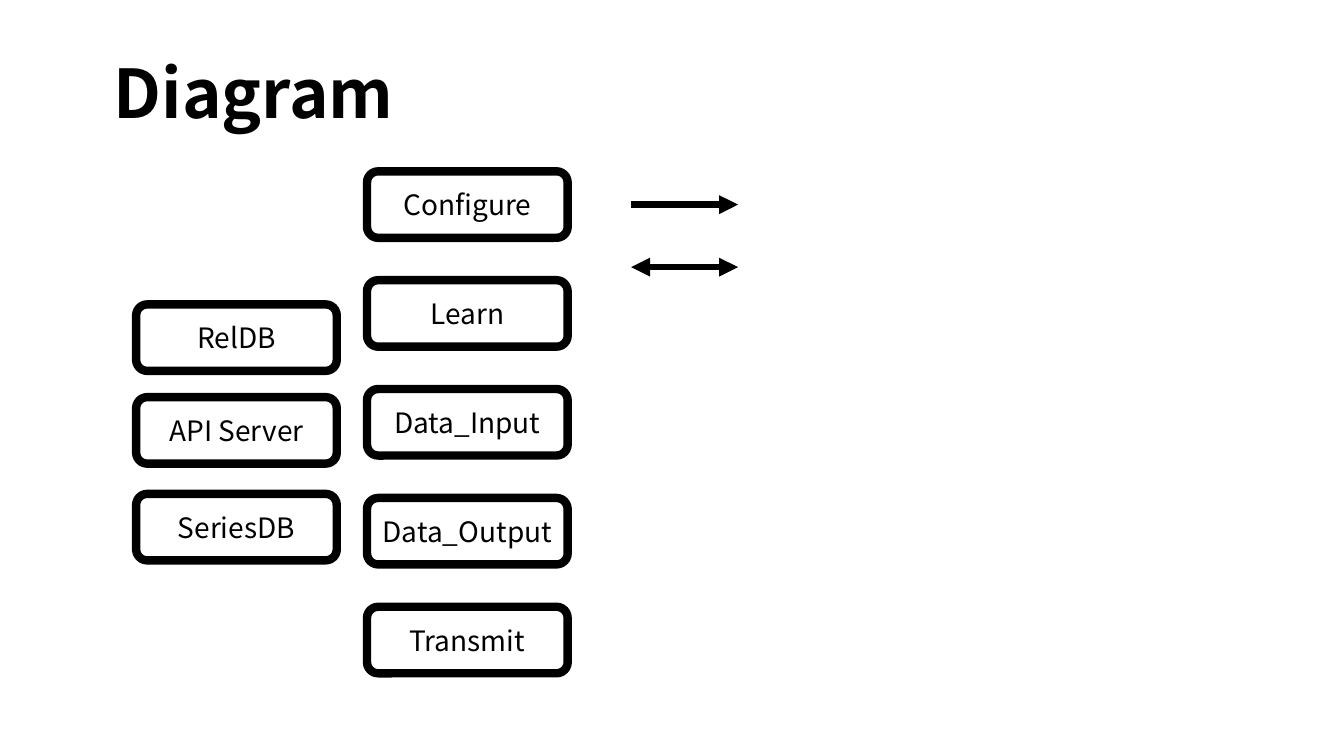
from lxml.etree import SubElement
from pptx import Presentation
from pptx.dml.color import RGBColor
from pptx.enum.shapes import MSO_CONNECTOR, MSO_SHAPE
from pptx.enum.text import MSO_ANCHOR, MSO_AUTO_SIZE, PP_ALIGN
from pptx.oxml.ns import qn
from pptx.util import Inches, Pt

TITLE = "Diagram"
TITLE_AREA = (1.03, 0.46, 4.6, 0.91)

# Each column: left edge, then its services with their top edges.
STORAGE_LEFT = 1.35
STORAGE = [("RelDB", 3.02), ("API Server", 3.94), ("SeriesDB", 4.9)]

STAGE_LEFT, STAGE_TOP, STAGE_STEP = 3.64, 1.7, 1.08
STAGES = ["Configure", "Learn", "Data_Input", "Data_Output", "Transmit"]

BOX_SIZE = (1.99, 0.66)

# Each arrow: height on the slide and the ends that carry a head.
ARROW_SPAN = (6.26, 7.32)
ARROWS = [(2.03, ["tailEnd"]), (2.65, ["headEnd", "tailEnd"])]

THEME = {
    "ink": RGBColor(0, 0, 0),
    "box_line": Pt(6),
    "arrow_line": Pt(4.5),
    "title": {"name": "Noto Sans CJK KR", "size": Pt(48), "bold": True},
    "label": {"name": "Noto Sans CJK KR", "size": Pt(20), "bold": False},
}


def write(frame, wording, style, align):
    """Put one styled paragraph into a text frame."""
    paragraph = frame.paragraphs[0]
    paragraph.alignment = align
    run = paragraph.add_run()
    run.text = wording
    for attribute, value in THEME[style].items():
        setattr(run.font, attribute, value)
    run.font.color.rgb = THEME["ink"]


def add_title(slide):
    """Add the slide heading."""
    heading = slide.shapes.add_textbox(*map(Inches, TITLE_AREA)).text_frame
    heading.word_wrap = True
    heading.auto_size = MSO_AUTO_SIZE.SHAPE_TO_FIT_TEXT
    write(heading, TITLE, "title", PP_ALIGN.LEFT)


def add_box(slide, label, left, top):
    """Add one outlined, rounded box with a centred label."""
    box = slide.shapes.add_shape(
        MSO_SHAPE.ROUNDED_RECTANGLE, *map(Inches, (left, top, *BOX_SIZE)))
    box.shadow.inherit = False
    box.fill.background()
    box.line.color.rgb = THEME["ink"]
    box.line.width = THEME["box_line"]
    box.text_frame.vertical_anchor = MSO_ANCHOR.MIDDLE
    write(box.text_frame, label, "label", PP_ALIGN.CENTER)


def add_arrow(slide, height, ends):
    """Add a horizontal arrow with triangles at the given ends."""
    start, stop = ARROW_SPAN
    arrow = slide.shapes.add_connector(
        MSO_CONNECTOR.STRAIGHT, *map(Inches, (start, height, stop, height)))
    arrow.line.color.rgb = THEME["ink"]
    arrow.line.width = THEME["arrow_line"]
    properties = arrow._element.spPr
    outline = properties.find(qn("a:ln"))
    for end in ends:
        SubElement(outline, qn(f"a:{end}"), type="triangle")
    SubElement(properties, qn("a:effectLst"))


def main():
    """Build and save the slide."""
    deck = Presentation()
    deck.slide_width, deck.slide_height = Inches(13.33), Inches(7.5)
    slide = deck.slides.add_slide(deck.slide_layouts[6])

    for label, top in STORAGE:
        add_box(slide, label, STORAGE_LEFT, top)
    for index, label in enumerate(STAGES):
        add_box(slide, label, STAGE_LEFT, STAGE_TOP + index * STAGE_STEP)
    add_title(slide)
    for height, ends in ARROWS:
        add_arrow(slide, height, ends)

    deck.save("out.pptx")


main()
